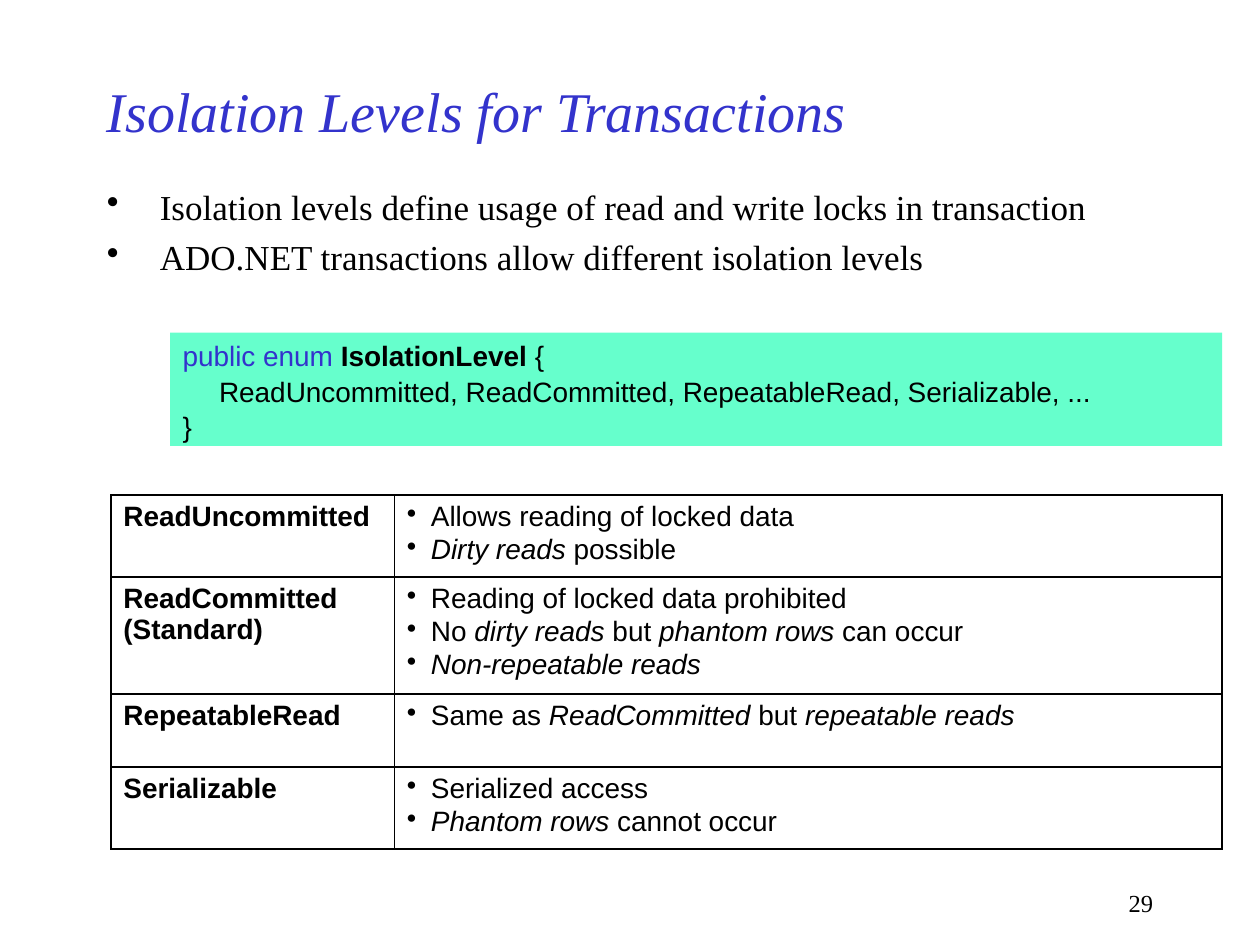
from dataclasses import dataclass

from lxml import etree
from pptx import Presentation
from pptx.dml.color import RGBColor
from pptx.enum.shapes import MSO_SHAPE
from pptx.enum.text import MSO_ANCHOR, PP_ALIGN
from pptx.oxml.ns import qn
from pptx.util import Inches, Pt

RECTANGLE = MSO_SHAPE.RECTANGLE
LEFT, RIGHT = PP_ALIGN.LEFT, PP_ALIGN.RIGHT
TOP, MIDDLE = MSO_ANCHOR.TOP, MSO_ANCHOR.MIDDLE
BLANK_LAYOUT = 6


@dataclass(frozen=True)
class Theme:
    ink: str = "000000"
    accent: str = "3333CC"
    code_fill: str = "66FFCC"
    serif: str = "Times New Roman"
    sans: str = "Arial"
    title: int = 32
    body: int = 20
    detail: int = 16
    footer: int = 14
    rule: float = 1.08
    thin_rule: float = 0.45


THEME = Theme()

POINTS = [
    "Isolation levels define usage of read and write locks in transaction",
    "ADO.NET transactions allow different isolation levels",
]

CODE = [
    [("public enum ", {"color": THEME.accent}), ("IsolationLevel", {"bold": True}), (" {", {})],
    [("\tReadUncommitted, ReadCommitted, RepeatableRead, Serializable, ...", {})],
    [("}", {})],
]

# Level, row height and effects; asterisks enclose italic words.
LEVELS = [
    ("ReadUncommitted", 0.65, ["Allows reading of locked data", "*Dirty reads* possible"]),
    ("ReadCommitted (Standard)", 0.93, [
        "Reading of locked data prohibited",
        "No *dirty reads* but *phantom rows* can occur",
        "*Non-repeatable reads*",
    ]),
    ("RepeatableRead", 0.58, ["Same as *ReadCommitted* but *repeatable reads*"]),
    ("Serializable", 0.65, ["Serialized access", "*Phantom rows* cannot occur"]),
]


def write(paragraph, text, *, size, font, color=THEME.ink, bold=False, italic=False):
    run = paragraph.add_run()
    run.text = text
    run.font.size = Pt(size)
    run.font.name = font
    run.font.color.rgb = RGBColor.from_string(color)
    run.font.bold = bold
    run.font.italic = italic


def italic_runs(text):
    """Split text at asterisks; every second part is italic."""
    parts = enumerate(text.split("*"))
    return [(part, {"italic": i % 2 == 1}) for i, part in parts if part]


def add_bullet(paragraph, indent):
    properties = paragraph._p.get_or_add_pPr()
    properties.set("marL", str(Inches(indent)))
    properties.set("indent", str(-Inches(indent)))
    bullet_color = etree.SubElement(properties, qn("a:buClr"))
    etree.SubElement(bullet_color, qn("a:srgbClr"), val=THEME.ink)
    etree.SubElement(properties, qn("a:buChar"), char="•")


def add_tab(paragraph, position):
    tabs = etree.SubElement(paragraph._p.get_or_add_pPr(), qn("a:tabLst"))
    etree.SubElement(tabs, qn("a:tab"), pos=str(Inches(position)), algn="l")


def set_border(cell, side, width):
    properties = cell._tc.get_or_add_tcPr()
    line = etree.SubElement(properties, qn(f"a:ln{side}"), w=str(Pt(width)))
    fill = etree.SubElement(line, qn("a:solidFill"))
    etree.SubElement(fill, qn("a:srgbClr"), val=THEME.ink)


class SlideBuilder:
    def __init__(self, slide, theme):
        self.slide = slide
        self.theme = theme

    def fill_frame(self, frame, lines, *, gap=0, indent=0, tab=0, align=LEFT, **style):
        """Write one paragraph for each list of (text, format) runs."""
        frame.word_wrap = True
        for i, runs in enumerate(lines):
            paragraph = frame.paragraphs[0] if i == 0 else frame.add_paragraph()
            if indent:
                add_bullet(paragraph, indent)
            if tab:
                add_tab(paragraph, tab)
            paragraph.alignment = align
            if i and gap:
                paragraph.space_before = Pt(gap)
            for text, changes in runs:
                write(paragraph, text, **{**style, **changes})

    def text(self, box, lines, *, anchor=TOP, **style):
        frame = self.slide.shapes.add_textbox(*map(Inches, box)).text_frame
        frame.vertical_anchor = anchor
        self.fill_frame(frame, lines, font=self.theme.serif, **style)

    def code(self, box, lines):
        panel = self.slide.shapes.add_shape(RECTANGLE, *map(Inches, box))
        panel.shadow.inherit = False
        panel.fill.solid()
        panel.fill.fore_color.rgb = RGBColor.from_string(self.theme.code_fill)
        panel.line.fill.background()
        panel.text_frame.vertical_anchor = TOP
        self.fill_frame(panel.text_frame, lines, gap=1, tab=0.29,
                        size=self.theme.detail, font=self.theme.sans)

    def level_table(self, left, top, widths, levels):
        height = sum(row_height for _, row_height, _ in levels)
        box = map(Inches, (left, top, sum(widths), height))
        table = self.slide.shapes.add_table(len(levels), len(widths), *box).table
        table.first_row = table.horz_banding = False
        for column, width in zip(table.columns, widths):
            column.width = Inches(width)
        style = {"size": self.theme.detail, "font": self.theme.sans}
        for row, (name, row_height, effects) in zip(table.rows, levels):
            row.height = Inches(row_height)
            name_cell, effect_cell = row.cells
            self.fill_frame(name_cell.text_frame, [[(name, {"bold": True})]], **style)
            self.fill_frame(effect_cell.text_frame, map(italic_runs, effects),
                            gap=1, indent=0.19, **style)
            for cell, divider in ((name_cell, "R"), (effect_cell, "L")):
                for side in "LRTB":
                    is_divider = side == divider
                    set_border(cell, side, self.theme.thin_rule if is_divider else self.theme.rule)
                cell.fill.background()


def main():
    presentation = Presentation()
    presentation.slide_width = Inches(10)
    presentation.slide_height = Inches(7.5)
    slide = presentation.slides.add_slide(presentation.slide_layouts[BLANK_LAYOUT])
    builder = SlideBuilder(slide, THEME)

    builder.text((0.75, 0.5, 7.5, 0.75), [[("Isolation Levels for Transactions", {})]],
                 anchor=MIDDLE, size=THEME.title, color=THEME.accent, italic=True)
    builder.text((0.75, 1.42, 8.81, 1.38), map(italic_runs, POINTS),
                 gap=5, indent=0.42, size=THEME.body)
    builder.level_table(0.88, 3.93, (2.25, 6.57), LEVELS)
    builder.code((1.35, 2.64, 8.35, 0.9), CODE)
    builder.text((7.17, 7, 2.08, 0.33), [[("29", {})]], align=RIGHT, size=THEME.footer)

    presentation.save("out.pptx")


if __name__ == "__main__":
    main()
